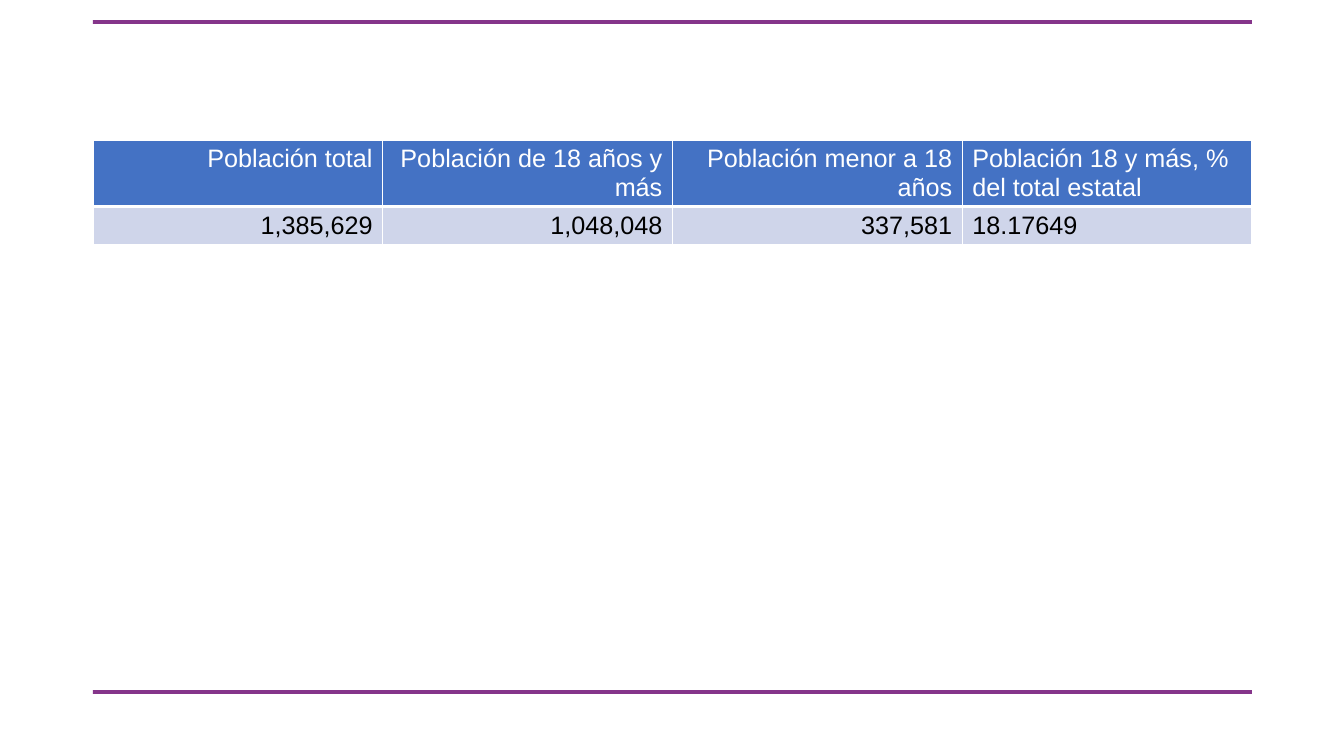
from dataclasses import dataclass
from lxml.etree import SubElement
from pptx import Presentation
from pptx.dml.color import RGBColor
from pptx.enum.shapes import MSO_SHAPE
from pptx.enum.text import PP_ALIGN
from pptx.oxml.ns import qn
from pptx.util import Emu, Pt


@dataclass(frozen=True)
class Theme:
    font: str = "Arial"
    size: int = 18
    rule: str = "85358A"
    header: str = "4472C4"
    body: str = "CFD5EA"
    light: str = "FFFFFF"
    dark: str = "000000"
    border: int = 1
    header_border: int = 3


def px(n):
    return Emu(round(n * 914400 / 100.8))


def rgb(color):
    return RGBColor.from_string(color)


class SlideBuilder:
    def __init__(self, s, theme):
        self.s = s
        self.theme = theme

    def bar(self, x, y, w, h):
        sp = self.s.shapes.add_shape(MSO_SHAPE.RECTANGLE, px(x), px(y), px(w), px(h))
        sp.shadow.inherit = False
        sp.fill.solid()
        sp.fill.fore_color.rgb = rgb(self.theme.rule)
        sp.line.fill.background()

    def borders(self, cell, bottom):
        tcPr = cell._tc.get_or_add_tcPr()
        for side in "LRTB":
            width = bottom if side == "B" else self.theme.border
            ln = SubElement(tcPr, qn(f"a:ln{side}"), w=str(Pt(width)))
            fill = SubElement(ln, qn("a:solidFill"))
            SubElement(fill, qn("a:srgbClr"), val=self.theme.light)

    def cell(self, cell, text, align, is_header):
        t = self.theme
        self.borders(cell, t.header_border if is_header else t.border)
        cell.fill.solid()
        cell.fill.fore_color.rgb = rgb(t.header if is_header else t.body)
        cell.text_frame.text = text
        p = cell.text_frame.paragraphs[0]
        p.alignment = align
        font = p.runs[0].font
        font.name = t.font
        font.size = Pt(t.size)
        font.bold = False
        font.color.rgb = rgb(t.light if is_header else t.dark)

    def table(self, x, y, w, heights, rows, aligns):
        tbl = self.s.shapes.add_table(
            len(rows), len(aligns), px(x), px(y), px(w), px(sum(heights))
        ).table
        for i, (height, row) in enumerate(zip(heights, rows)):
            tbl.rows[i].height = px(height)
            for j, (text, align) in enumerate(zip(row, aligns)):
                self.cell(tbl.cell(i, j), text, align, i == 0)


LEFT, WIDTH = 93, 1159
POPULATION = [
    ["Población total", "Población de 18 años y más",
     "Población menor a 18 años", "Población 18 y más, % del total estatal"],
    ["1,385,629", "1,048,048", "337,581", "18.17649"],
]

prs = Presentation()
prs.slide_width, prs.slide_height = px(1344), px(756)
slide = SlideBuilder(prs.slides.add_slide(prs.slide_layouts[6]), Theme())
for top in (690, 20):
    slide.bar(LEFT, top, WIDTH, 4)
slide.table(LEFT, 140, WIDTH, [66, 38], POPULATION,
            [PP_ALIGN.RIGHT] * 3 + [PP_ALIGN.LEFT])
prs.save("out.pptx")
